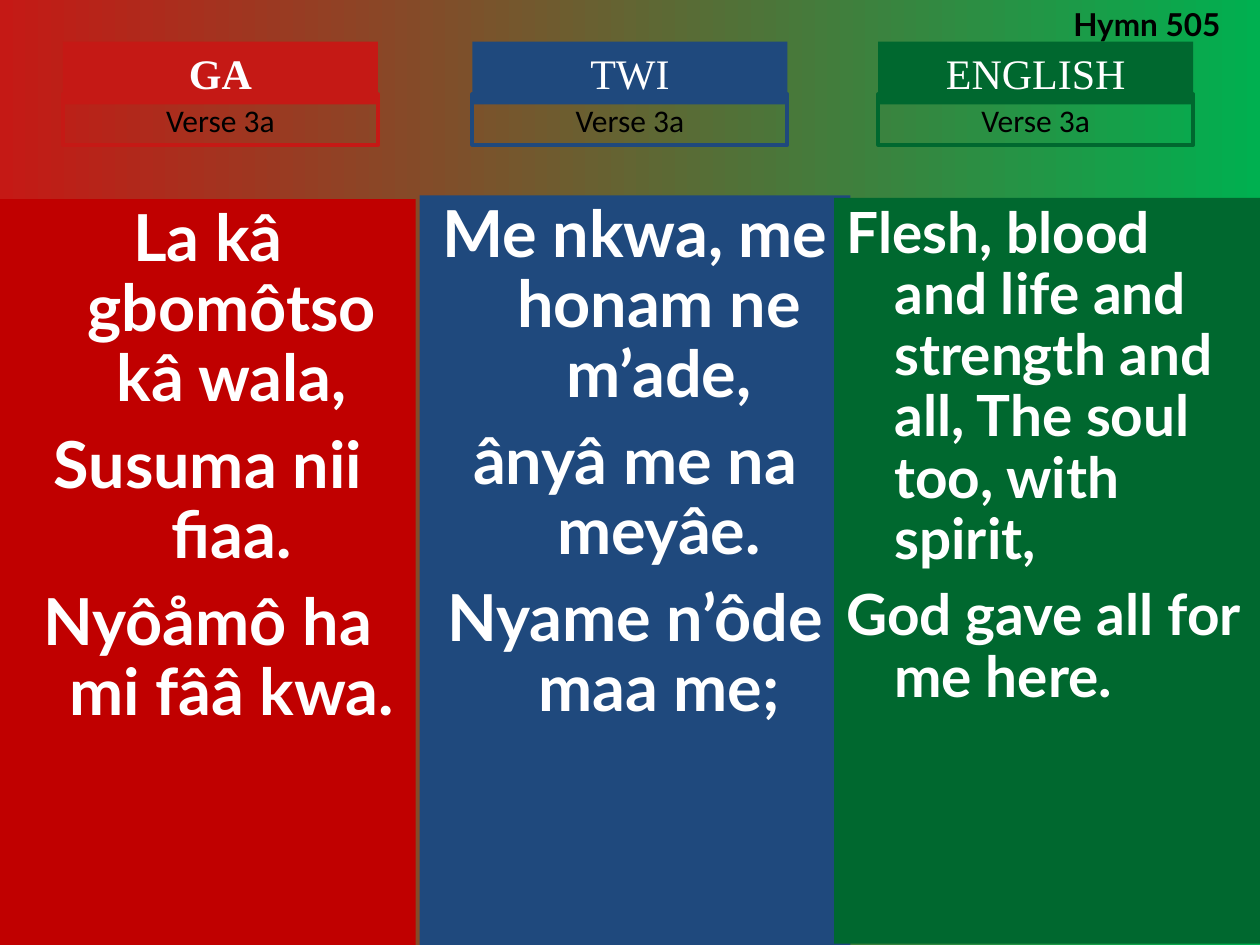
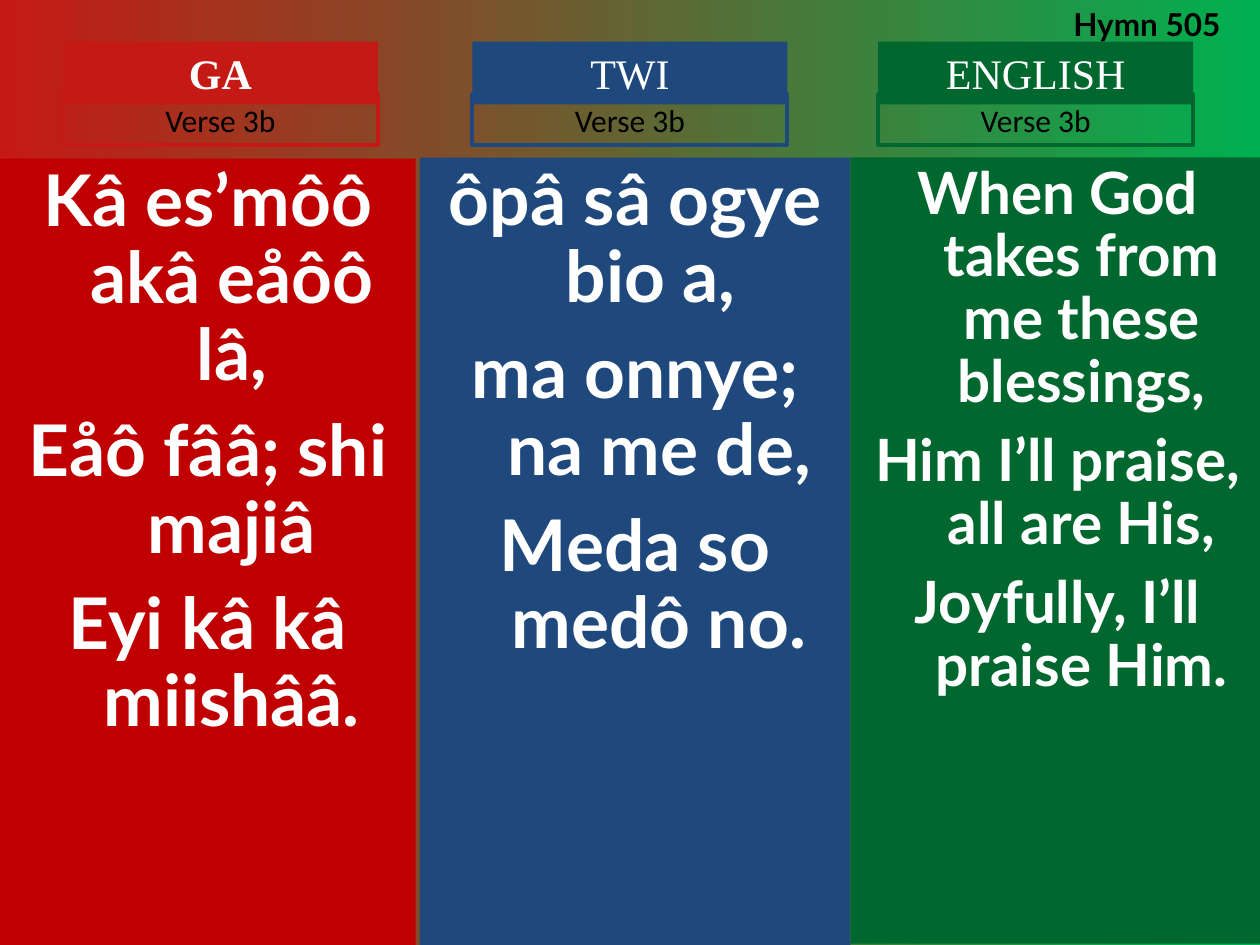
from dataclasses import dataclass

from pptx import Presentation
from pptx.dml.color import RGBColor
from pptx.enum.shapes import MSO_SHAPE
from pptx.enum.text import MSO_ANCHOR, MSO_AUTO_SIZE, PP_ALIGN
from pptx.shapes.autoshape import Shape
from pptx.slide import Slide
from pptx.util import Inches, Pt

RED = RGBColor(0xC5, 0x19, 0x15)
DARK_RED = RGBColor(0xC0, 0x00, 0x00)
BLUE = RGBColor(0x1F, 0x49, 0x7D)
GREEN = RGBColor(0x00, 0x68, 0x2F)
BRIGHT_GREEN = RGBColor(0x00, 0xB0, 0x50)
WHITE = RGBColor(0xFF, 0xFF, 0xFF)
BLACK = RGBColor(0x00, 0x00, 0x00)

LYRIC_FONT = "Lato"
HEADING_FONT = "Times New Roman"
VERSE_FONT = "Calibri"
HYMN = "Hymn 505"
HEADING_TOP, HEADING_HEIGHT = 0.33, 0.5
VERSE_TOP, VERSE_HEIGHT = 0.75, 0.4
HEADING_WIDTH = 2.5
HANGING_INDENT = Inches(0.38)
SPACE_RATIO = 0.27


@dataclass(frozen=True)
class Language:
    """A language column's heading and colours."""
    name: str
    heading_left: float
    heading_color: RGBColor
    panel_color: RGBColor
    bold: bool = False


@dataclass(frozen=True)
class Lyrics:
    """The lines of one language and the panel that holds them."""
    left: float
    top: float
    width: float
    height: float
    size: float
    lines: tuple[str, ...]
    align: PP_ALIGN = PP_ALIGN.CENTER


@dataclass(frozen=True)
class Verse:
    """One slide: its verse label and the lyrics in each language."""
    label: str
    lyrics: tuple[Lyrics, ...]


LANGUAGES = (
    Language("GA", 0.5, RED, DARK_RED, bold=True),
    Language("TWI", 3.75, BLUE, BLUE),
    Language("ENGLISH", 6.97, GREEN, GREEN),
)

VERSES = (
    Verse("Verse 3a", (
        Lyrics(0, 1.58, 3.3, 5.92, 37, (
            "La kâ gbomôtso kâ wala,",
            "Susuma nii fiaa.",
            "Nyôåmô ha mi fââ kwa.")),
        Lyrics(3.33, 1.55, 3.42, 5.95, 37, (
            "Me nkwa, me honam ne m’ade,",
            "ânyâ me na meyâe.",
            "Nyame n’ôde maa me;")),
        Lyrics(6.62, 1.57, 3.42, 5.92, 32.4, (
            "Flesh, blood and life and strength and all, The soul too, with spirit,",
            "God gave all for me here."), PP_ALIGN.LEFT),
    )),
    Verse("Verse 3b", (
        Lyrics(0, 1.26, 3.3, 6.24, 40.7, (
            "Kâ es’môô akâ eåôô lâ,",
            "Eåô fââ; shi majiâ",
            "Eyi kâ kâ miishââ.")),
        Lyrics(3.33, 1.25, 3.42, 6.25, 40.7, (
            "ôpâ sâ ogye bio a, ",
            "ma onnye; na me de,",
            "Meda so medô no.")),
        Lyrics(6.75, 1.25, 3.29, 6.24, 33.3, (
            "When God takes from me these blessings,",
            "Him I’ll praise, all are His,",
            "Joyfully, I’ll praise Him.")),
    )),
)


def write(shape: Shape, *lines: str, font: str, size: float, color: RGBColor,
          bold: bool = False, align: PP_ALIGN = PP_ALIGN.CENTER,
          hanging: bool = False) -> None:
    """Write one paragraph per line, with a hanging indent for lyrics."""
    frame = shape.text_frame
    frame.word_wrap = True
    frame.vertical_anchor = MSO_ANCHOR.TOP
    frame.auto_size = MSO_AUTO_SIZE.NONE if hanging else MSO_AUTO_SIZE.SHAPE_TO_FIT_TEXT
    for index, line in enumerate(lines):
        paragraph = frame.add_paragraph() if index else frame.paragraphs[0]
        paragraph.alignment = align
        if hanging:
            properties = paragraph._p.get_or_add_pPr()
            properties.set("marL", str(HANGING_INDENT))
            properties.set("indent", str(-HANGING_INDENT))
            paragraph.line_spacing = 0.9
            paragraph.space_before = Pt(round(size * SPACE_RATIO, 1) if index else 0)
        run = paragraph.add_run()
        run.text = line
        run.font.name = font
        run.font.size = Pt(size)
        run.font.bold = bold
        run.font.color.rgb = color


def add_box(slide: Slide, left: float, top: float, width: float, height: float,
            fill: RGBColor | None = None, line: RGBColor | None = None) -> Shape:
    """Add a rectangle with an optional fill and outline."""
    box = slide.shapes.add_shape(MSO_SHAPE.RECTANGLE, Inches(left), Inches(top),
                                 Inches(width), Inches(height))
    box.shadow.inherit = False
    if fill is None:
        box.fill.background()
    else:
        box.fill.solid()
        box.fill.fore_color.rgb = fill
    if line is None:
        box.line.fill.background()
    else:
        box.line.color.rgb = line
        box.line.width = Pt(2.25)
    return box


def paint_background(slide: Slide) -> None:
    """Fill the slide with a gradient from red to green."""
    fill = slide.background.fill
    fill.gradient()
    fill.gradient_angle = 0
    for stop, color, position in zip(fill.gradient_stops, (RED, BRIGHT_GREEN), (0, 1)):
        stop.color.rgb = color
        stop.position = position


def add_lyrics(slide: Slide, language: Language, lyrics: Lyrics) -> None:
    """Draw one language's panel of lyrics."""
    panel = add_box(slide, lyrics.left, lyrics.top, lyrics.width, lyrics.height,
                    fill=language.panel_color)
    write(panel, *lyrics.lines, font=LYRIC_FONT, size=lyrics.size, color=WHITE,
          bold=True, align=lyrics.align, hanging=True)


def add_heading(slide: Slide, language: Language, label: str) -> None:
    """Draw the language name and the verse label under it."""
    heading = add_box(slide, language.heading_left, HEADING_TOP, HEADING_WIDTH,
                      HEADING_HEIGHT, fill=language.heading_color)
    write(heading, language.name, font=HEADING_FONT, size=24, color=WHITE,
          bold=language.bold)
    verse_label = add_box(slide, language.heading_left, VERSE_TOP, HEADING_WIDTH,
                          VERSE_HEIGHT, line=language.heading_color)
    write(verse_label, label, font=VERSE_FONT, size=18, color=BLACK)


def add_verse(deck: Presentation, verse: Verse) -> None:
    """Add the slide for one verse."""
    slide = deck.slides.add_slide(deck.slide_layouts[6])
    paint_background(slide)
    for language, lyrics in zip(LANGUAGES, verse.lyrics):
        add_lyrics(slide, language, lyrics)
    for language in LANGUAGES:
        add_heading(slide, language, verse.label)
    hymn_number = slide.shapes.add_textbox(Inches(8.42), Inches(-0.01),
                                           Inches(1.5), Inches(0.4))
    write(hymn_number, HYMN, font=LYRIC_FONT, size=18, color=BLACK, bold=True,
          align=PP_ALIGN.LEFT)


def main() -> None:
    """Build and save the hymn slides."""
    deck = Presentation()
    deck.slide_width = Inches(10)
    deck.slide_height = Inches(7.5)
    for verse in VERSES:
        add_verse(deck, verse)
    deck.save("out.pptx")


if __name__ == "__main__":
    main()
